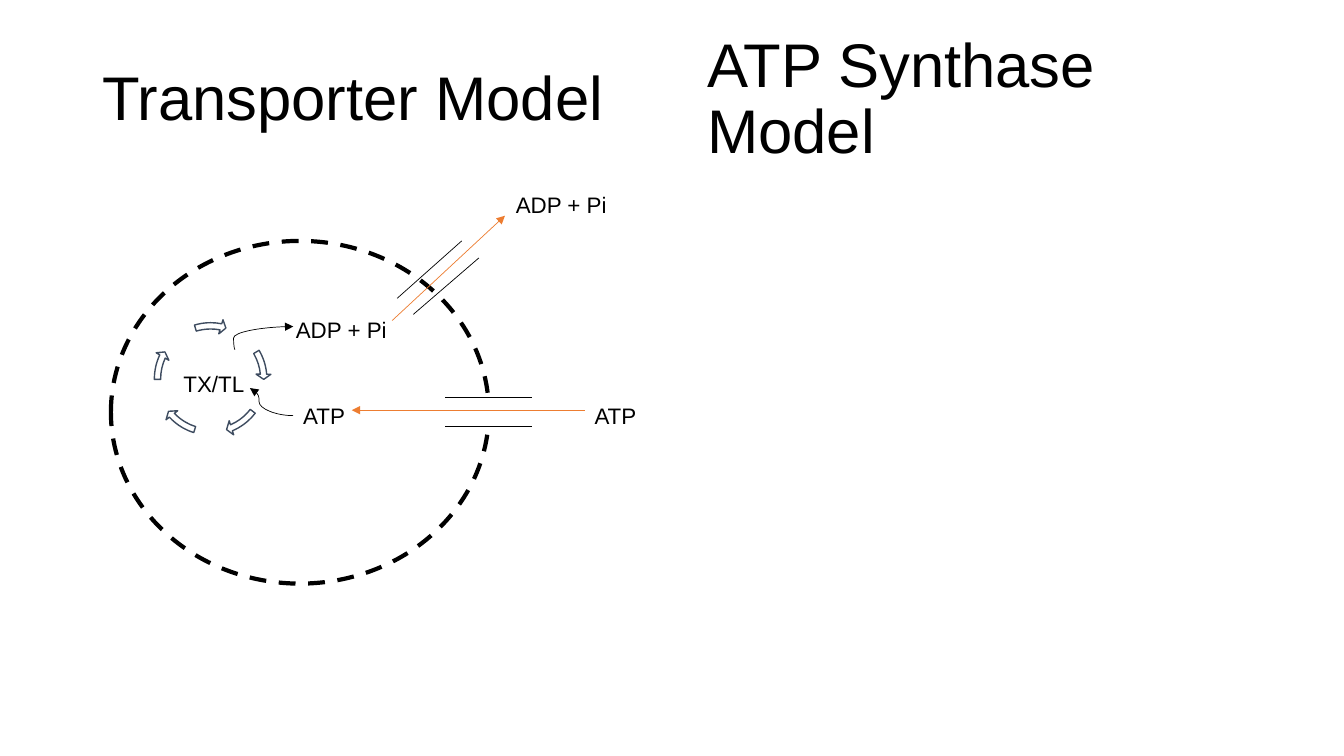
from lxml import etree
from pptx import Presentation
from pptx import util as u
from pptx.dml.color import RGBColor
from pptx.enum import dml, shapes, text
from pptx.oxml.ns import qn

FONT = "Arial"
HUES = {"ink": "000000", "paper": "FFFFFF", "slate": "3E4C60", "flow": "ED7D31"}

# text, left, top, width, height
TITLES = [
    ("Transporter Model", 66, 28.75, 378, 86.5),
    ("ATP Synthase Model", 498, 28.75, 420, 86.5),
]
LABELS = [
    ("TX/TL", 124, 260.8, 80, 26.7),
    ("ADP + Pi", 204.3, 222.3, 94, 26.7),
    ("ADP + Pi", 361.4, 133.2, 94, 26.7),
    ("ATP", 209.5, 283.6, 47.5, 26.7),
    ("ATP", 417.6, 283.6, 47.5, 26.7),
]

CELL = (79.2, 172.1, 270, 244.8)
GAP = (339.8, 263.5, 18, 62)
CYCLE = (107.3, 227.5, 86.4, 86.4)
# head and tail angle of each cycle arrow, in units of 100000/60000 degrees
ARCS = [(212.94, 197.65), (40.16, 22.52), (82.12, 64.49),
        (122.99, 107.7), (168.67, 151.98)]

# x1, y1, x2, y2
WALLS = [
    (283.7, 213.1, 329.8, 172.1),
    (295.2, 224.6, 342, 184.3),
    (318.2, 283.7, 380.2, 283.7),
    (318.2, 304.6, 380.2, 304.6),
]
FLOWS = [(280.1, 229, 360.7, 154.1), (417.6, 293, 251.3, 293)]
# ends, then bend
CURVES = [((167.8, 249.8, 209.5, 233.3), -0.024),
          ((209.5, 296.9, 178.6, 277.2), 0.789)]


def pts(nums):
    return [u.Pt(n) for n in nums]


def hue(name):
    return RGBColor.from_string(HUES[name])


def write(slide, words, box, size, title=False):
    frame = slide.shapes.add_textbox(*pts(box)).text_frame
    frame.word_wrap = True
    if title:
        frame.vertical_anchor = text.MSO_ANCHOR.MIDDLE
    para = frame.paragraphs[0]
    para.text = words
    para.font.name, para.font.size = FONT, u.Pt(size)
    para.font.color.rgb = hue("ink")
    if title:
        para.line_spacing = 0.9


def draw(slide, kind, box, fill=None, line=None, width=1):
    shape = slide.shapes.add_shape(kind, *pts(box))
    shape.shadow.inherit = False
    if fill:
        shape.fill.solid()
        shape.fill.fore_color.rgb = hue(fill)
    else:
        shape.fill.background()
    if line:
        shape.line.color.rgb = hue(line)
        shape.line.width = u.Pt(width)
    else:
        shape.line.fill.background()
    return shape


def link(slide, ends, color="ink", head=False, bend=None):
    """Draw a thin line; a bend value makes it a curve."""
    kinds = shapes.MSO_CONNECTOR
    kind = kinds.STRAIGHT if bend is None else kinds.CURVE
    line = slide.shapes.add_connector(kind, *pts(ends))
    line.line.color.rgb = hue(color)
    line.line.width = u.Pt(0.5)
    props = line._element.spPr
    if head:
        etree.SubElement(props.find(qn("a:ln")), qn("a:tailEnd"), type="triangle")
    if bend is not None:
        guides = props.find(qn("a:prstGeom")).find(qn("a:avLst"))
        etree.SubElement(guides, qn("a:gd"), name="adj1",
                         fmla=f"val {round(bend * 100000)}")
    etree.SubElement(props, qn("a:effectLst"))


def main():
    deck = Presentation()
    deck.slide_width, deck.slide_height = u.Pt(960), u.Pt(540)
    slide = deck.slides.add_slide(deck.slide_layouts[6])
    kinds = shapes.MSO_SHAPE

    for words, *box in TITLES:
        write(slide, words, box, 44, title=True)

    cell = draw(slide, kinds.OVAL, CELL, line="ink", width=3)
    cell.line.dash_style = dml.MSO_LINE.DASH
    gap = draw(slide, kinds.RECTANGLE, GAP, fill="paper")
    gap.rotation = 90

    for head, tail in ARCS:
        arc = draw(slide, kinds.CIRCULAR_ARROW, CYCLE, "paper", "slate")
        for i, value in enumerate((0.052, 3.357, head, tail, 0.061)):
            arc.adjustments[i] = value

    for ends, bend in CURVES:
        link(slide, ends, head=True, bend=bend)
    for ends in WALLS:
        link(slide, ends)
    for ends in FLOWS:
        link(slide, ends, "flow", head=True)
    for words, *box in LABELS:
        write(slide, words, box, 16)

    deck.save("out.pptx")


if __name__ == "__main__":
    main()
